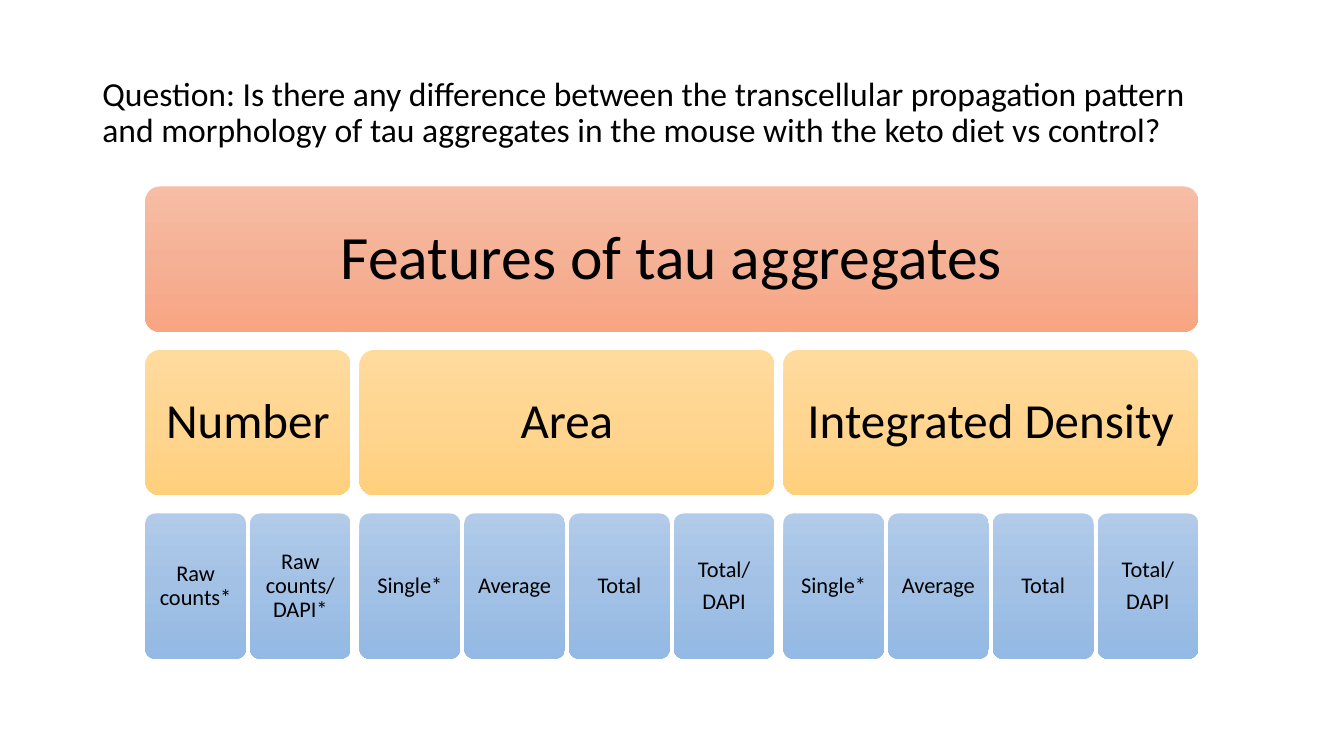
import copy
from dataclasses import dataclass

import pptx
import pptx.dml.color
import pptx.enum.shapes
import pptx.enum.text
import pptx.oxml.ns
import pptx.util

Cm, Pt = pptx.util.Cm, pptx.util.Pt
MIDDLE = pptx.enum.text.MSO_ANCHOR.MIDDLE

FONT = "Calibri"
COLORS = {
    "text": "000000",
    "root": ("F7BDA5", "F5B196", "F8A582"),
    "feature": ("FFDB9E", "FFD590", "FFD07C"),
    "measure": ("B1CBE9", "A3C1E5", "93B9E4"),
}
QUESTION = (
    "Question: Is there any difference between the transcellular propagation "
    "pattern and morphology of tau aggregates in the mouse with the keto diet "
    "vs control?"
)

# Lengths in centimetres
LEFT, TOP = 3.66, 4.7
BOX_HEIGHT, ROW_PITCH = 3.66, 4.12
MEASURE_WIDTH, MEASURE_GAP, FEATURE_GAP = 2.54, 0.1, 0.22


@dataclass(frozen=True)
class Level:
    row: int
    color: str
    size: float
    inset: float


@dataclass(frozen=True)
class Feature:
    name: str
    measures: tuple[str, ...]

    @property
    def width(self) -> float:
        n = len(self.measures)
        return n * MEASURE_WIDTH + (n - 1) * MEASURE_GAP


ROOT = Level(0, "root", 44, 0.5)
FEATURE = Level(1, "feature", 35, 0.25)
MEASURE = Level(2, "measure", 16, 0.2)

AMOUNTS = ("Single*", "Average", "Total", "Total/\nDAPI")
FEATURES = (
    Feature("Number", ("Raw counts*", "Raw counts/DAPI*")),
    Feature("Area", AMOUNTS),
    Feature("Integrated Density", AMOUNTS),
)


def rgb(value: str) -> pptx.dml.color.RGBColor:
    return pptx.dml.color.RGBColor.from_string(value)


def add_text(p, text: str, size: float) -> None:
    p.line_spacing = 0.9
    r = p.add_run()
    r.text = text
    r.font.name = FONT
    r.font.size = Pt(size)
    r.font.color.rgb = rgb(COLORS["text"])


def fill_downwards(s, colors: tuple[str, ...]) -> None:
    """Fill a shape with an even three-stop gradient from top to bottom."""
    s.fill.gradient()
    s.fill.gradient_angle = 270
    stops = s._element.spPr.find(".//" + pptx.oxml.ns.qn("a:gsLst"))
    stops.insert(1, copy.deepcopy(stops[0]))
    for i, (stop, color) in enumerate(zip(s.fill.gradient_stops, colors)):
        stop.position = i / 2
        stop.color.rgb = rgb(color)


def add_box(slide, level: Level, left: float, width: float, text: str) -> None:
    s = slide.shapes.add_shape(
        pptx.enum.shapes.MSO_SHAPE.ROUNDED_RECTANGLE,
        Cm(left), Cm(TOP + level.row * ROW_PITCH), Cm(width), Cm(BOX_HEIGHT),
    )
    s.adjustments[0] = 0.1
    s.shadow.inherit = False
    s.line.fill.background()
    fill_downwards(s, COLORS[level.color])
    tf = s.text_frame
    tf.word_wrap = True
    tf.vertical_anchor = MIDDLE
    tf.margin_left = tf.margin_right = Cm(level.inset)
    tf.margin_top = tf.margin_bottom = Cm(level.inset)
    for i, line in enumerate(text.split("\n")):
        p = tf.add_paragraph() if i else tf.paragraphs[0]
        p.alignment = pptx.enum.text.PP_ALIGN.CENTER
        if i:
            p.space_before = Pt(0.35 * level.size)
        add_text(p, line, level.size)


def add_question(slide) -> None:
    tf = slide.shapes.add_textbox(Cm(2.33), Cm(1.02), Cm(29.21), Cm(3.68)).text_frame
    tf.word_wrap = True
    tf.vertical_anchor = MIDDLE
    add_text(tf.paragraphs[0], QUESTION, 24)


def add_hierarchy(slide) -> None:
    total = sum(f.width for f in FEATURES) + (len(FEATURES) - 1) * FEATURE_GAP
    add_box(slide, ROOT, LEFT, total, "Features of tau aggregates")
    left = LEFT
    for feature in FEATURES:
        add_box(slide, FEATURE, left, feature.width, feature.name)
        for i, measure in enumerate(feature.measures):
            x = left + i * (MEASURE_WIDTH + MEASURE_GAP)
            add_box(slide, MEASURE, x, MEASURE_WIDTH, measure)
        left += feature.width + FEATURE_GAP


def main() -> None:
    prs = pptx.Presentation()
    prs.slide_width, prs.slide_height = Cm(33.87), Cm(19.05)
    slide = prs.slides.add_slide(prs.slide_layouts[6])
    add_question(slide)
    add_hierarchy(slide)
    prs.save("out.pptx")


if __name__ == "__main__":
    main()
